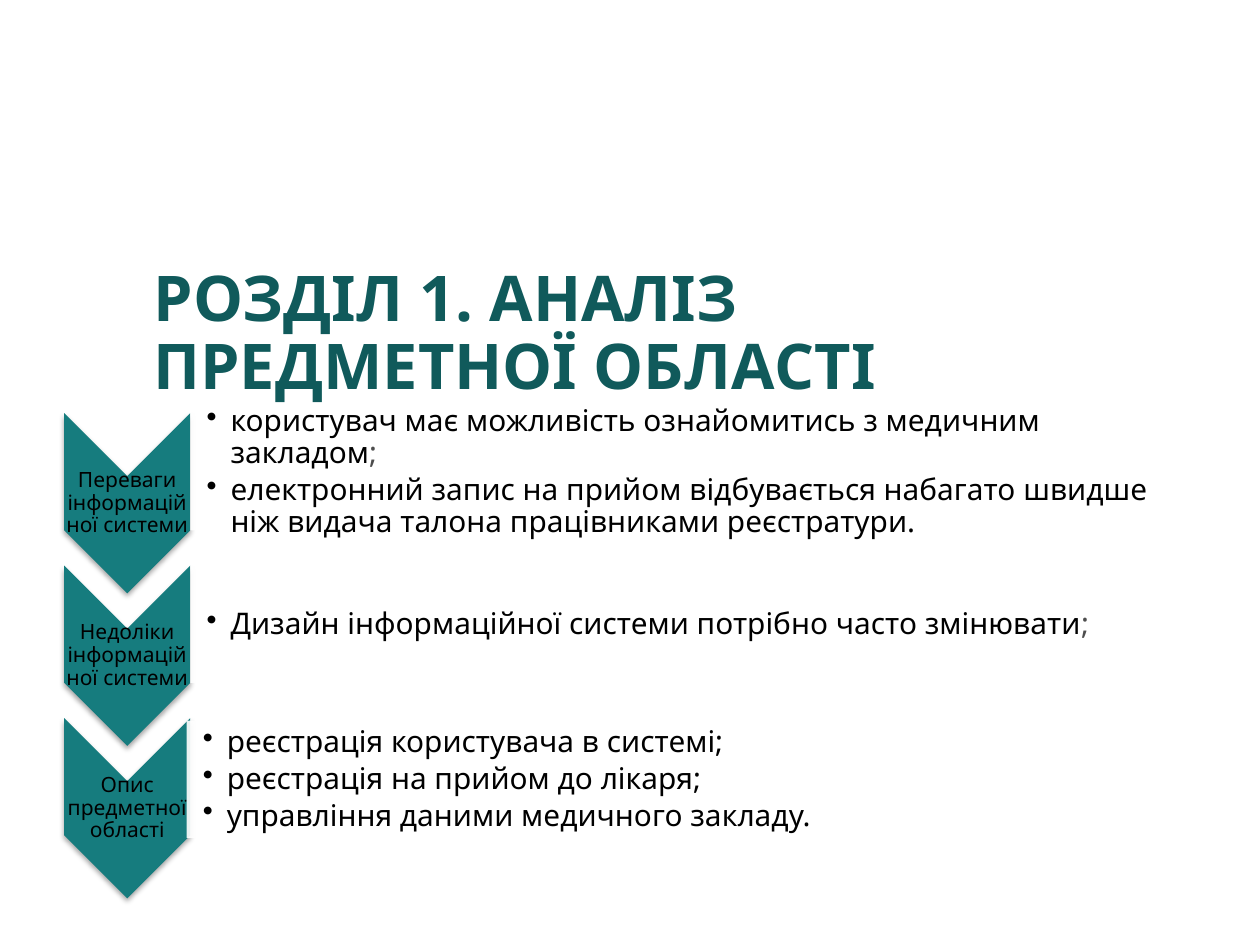
from lxml import etree
from pptx import Presentation
from pptx.dml.color import RGBColor
from pptx.enum.shapes import MSO_SHAPE as SHAPE
from pptx.enum.text import MSO_ANCHOR as ANCHOR, PP_ALIGN as ALIGN
from pptx.oxml import parse_xml
from pptx.oxml.ns import nsdecls, qn
from pptx.util import Inches, Pt

FONT = "Noto Sans"
TEAL, DARK_TEAL, BLACK, GRAY, WHITE = "167C7E", "105A5B", "000000", "4D4D4D", "FFFFFF"
ROWS = [
    ("Переваги інформаційної системи", 0, 0,
     [[("користувач має можливість ознайомитись з медичним закладом", BLACK), (";", GRAY)],
      [("електронний запис на прийом відбувається набагато швидше ніж видача талона "
        "працівниками реєстратури.", BLACK)]]),
    ("Недоліки інформаційної системи", 0, 0,
     [[("Дизайн інформаційної системи потрібно часто змінювати", BLACK), (";", GRAY)]]),
    ("Опис предметної області", -0.03, 0.02,
     [[("реєстрація користувача в системі;", BLACK)],
      [("реєстрація на прийом до лікаря;", BLACK)],
      [("управління даними медичного закладу.", BLACK)]]),
]


def color(value):
    """Return the colour for a hex string."""
    return RGBColor.from_string(value)


def add_text(s, box, paragraphs, size, bold=False, align=ALIGN.LEFT, anchor=ANCHOR.MIDDLE,
             insets=(0.01, 0.01, 0.01, 0.01), spacing=0.9, after=0, bullet=False):
    """Add a text box; each paragraph is a list of (text, colour) runs."""
    tf = s.shapes.add_textbox(*map(Inches, box)).text_frame
    tf.word_wrap = True
    tf.vertical_anchor = anchor
    tf.margin_left, tf.margin_top, tf.margin_right, tf.margin_bottom = map(Inches, insets)
    for i, runs in enumerate(paragraphs):
        p = tf.add_paragraph() if i else tf.paragraphs[0]
        p.alignment, p.line_spacing, p.space_after = align, spacing, Pt(after)
        if bullet:
            pPr = p._p.get_or_add_pPr()
            pPr.set("marL", str(Inches(0.19)))
            pPr.set("indent", str(-Inches(0.19)))
            etree.SubElement(pPr, qn("a:buChar")).set("char", "•")
        for text, fill in runs:
            r = p.add_run()
            r.text = text
            r.font.name, r.font.size, r.font.bold = FONT, Pt(size), bold
            r.font.color.rgb = color(fill)


def add_turned_shape(s, kind, box, fill):
    """Add a borderless shape turned by 90 degrees that fills the visible box."""
    x, y, w, h = box
    left, top = x + (w - h) / 2, y + (h - w) / 2
    sp = s.shapes.add_shape(kind, *map(Inches, (left, top, h, w)))
    sp.rotation = 90
    sp.shadow.inherit = False
    sp.fill.solid()
    sp.fill.fore_color.rgb = color(fill)
    sp.line.fill.background()
    return sp


def add_chevron(s, x, y, label):
    """Add a downward chevron with a soft shadow and its label."""
    sp = add_turned_shape(s, SHAPE.CHEVRON, (x, y, 1, 1.43), TEAL)
    sp._element.spPr.find(qn("a:effectLst")).append(parse_xml(
        f'<a:outerShdw {nsdecls("a")} blurRad="{Pt(3.1)}" dist="{Pt(1.8)}" dir="5400000" '
        f'rotWithShape="0"><a:srgbClr val="{BLACK}"><a:alpha val="35000"/></a:srgbClr>'
        '</a:outerShdw>'))
    add_text(s, (x, y + 0.5, 1, 0.43), [[(label, BLACK)]], 12, align=ALIGN.CENTER, after=4.2)


def add_panel(s, x, y, items):
    """Add a translucent panel with a bulleted list."""
    sp = add_turned_shape(s, SHAPE.ROUND_2_SAME_RECTANGLE, (x, y, 7.71, 0.93), WHITE)
    clr = sp._element.spPr.find(qn("a:solidFill"))[0]
    etree.SubElement(clr, qn("a:alpha")).set("val", "90000")
    add_text(s, (x, y + 0.05, 7.66, 0.84), items, 17, insets=(0.13, 0.01, 0.01, 0.01),
             after=2.55, bullet=True)


def add_rows(s, x, y, pitch=1.21):
    """Stack the chevrons and their panels downward from a corner."""
    for i, (label, dx, dy, items) in enumerate(ROWS):
        top = y + i * pitch
        add_chevron(s, x, top, label)
        add_panel(s, x + 1 + dx, top + dy, items)


prs = Presentation()
prs.slide_width, prs.slide_height = Inches(10), Inches(7.5)
s = prs.slides.add_slide(prs.slide_layouts[6])
add_text(s, (1.12, 2.65, 8, 0.55), [[("РОЗДІЛ 1. АНАЛІЗ ПРЕДМЕТНОЇ ОБЛАСТІ", DARK_TEAL)]], 36,
         bold=True, anchor=ANCHOR.BOTTOM, insets=(0.1, 0.05, 0.1, 0), spacing=0.9)
add_rows(s, 0.51, 3.28)
prs.save("out.pptx")
